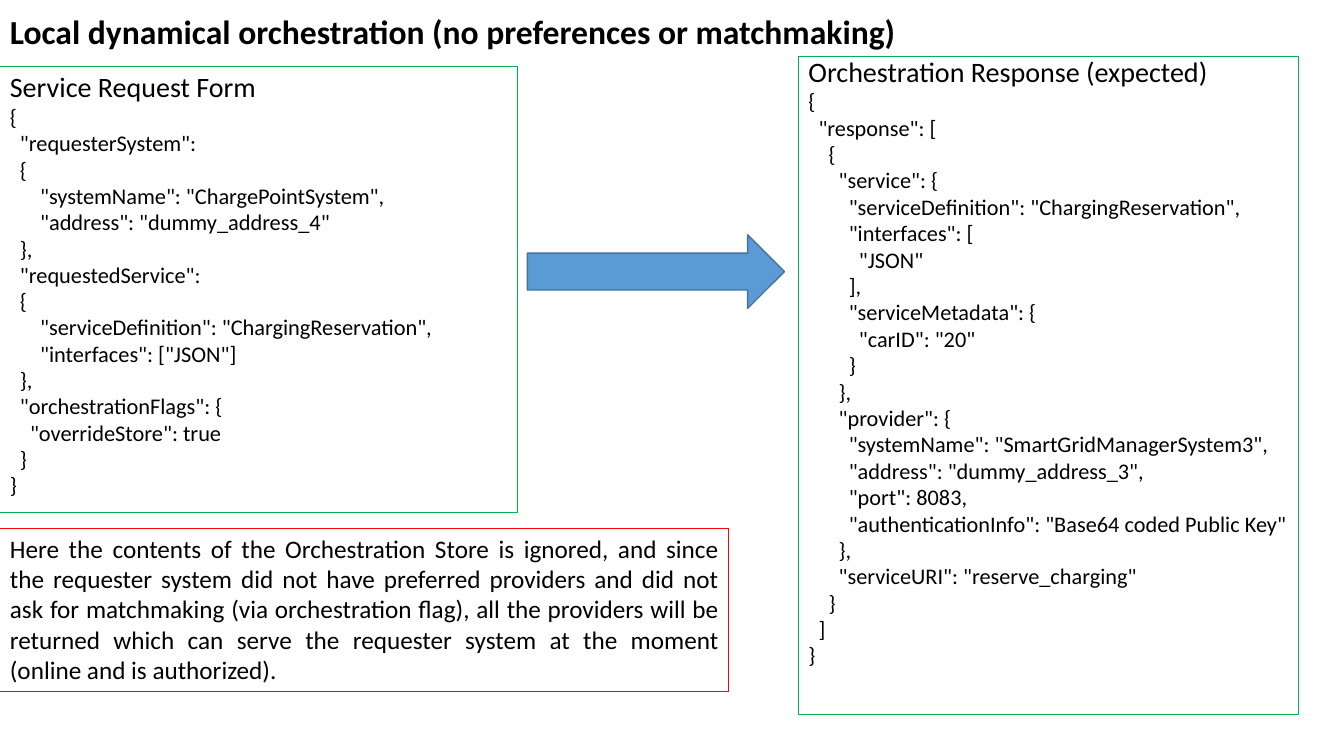
import pptx
import pptx.util
import pptx.dml.color
import pptx.enum.shapes
import pptx.enum.text

Inches, Pt = pptx.util.Inches, pptx.util.Pt
SHAPE = pptx.enum.shapes.MSO_SHAPE
ALIGN = pptx.enum.text.PP_ALIGN
ANCHOR = pptx.enum.text.MSO_ANCHOR

HUES = {"text": "000000", "code": "00B050", "note": "FF0000",
        "arrow": "5B9BD5", "edge": "43739E"}

TITLE = [(0, "Local dynamical orchestration (no preferences or matchmaking)")]
ASK = [
    (0, "Service Request Form"),
    (0, "{"),
    (1, '"requesterSystem":'),
    (1, "{"),
    (3, '"systemName": "ChargePointSystem",'),
    (3, '"address": "dummy_address_4"'),
    (1, "},"),
    (1, '"requestedService":'),
    (1, "{"),
    (3, '"serviceDefinition": "ChargingReservation",'),
    (3, '"interfaces": ["JSON"]'),
    (1, "},"),
    (1, '"orchestrationFlags": {'),
    (2, '"overrideStore": true'),
    (1, "}"),
    (0, "}"),
]
REPLY = [
    (0, "Orchestration Response (expected)"),
    (0, "{"),
    (1, '"response": ['),
    (2, "{"),
    (3, '"service": {'),
    (4, '"serviceDefinition": "ChargingReservation",'),
    (4, '"interfaces": ['),
    (5, '"JSON"'),
    (4, "],"),
    (4, '"serviceMetadata": {'),
    (5, '"carID": "20"'),
    (4, "}"),
    (3, "},"),
    (3, '"provider": {'),
    (4, '"systemName": "SmartGridManagerSystem3",'),
    (4, '"address": "dummy_address_3",'),
    (4, '"port": 8083,'),
    (4, '"authenticationInfo": "Base64 coded Public Key"'),
    (3, "},"),
    (3, '"serviceURI": "reserve_charging"'),
    (2, "}"),
    (1, "]"),
    (0, "}"),
]
NOTE = [(0, "Here the contents of the Orchestration Store is ignored, and since "
            "the requester system did not have preferred providers and did not "
            "ask for matchmaking (via orchestration flag), all the providers will be "
            "returned which can serve the requester system at the moment "
            "(online and is authorized).")]

STEP = 0.1
LEFT = ALIGN.LEFT
BOXES = [
    {"at": (0, 0, 11.5, 0.66), "lines": TITLE, "hue": None, "sizes": (24, 24),
     "bold": True, "frame": {"vertical_anchor": ANCHOR.MIDDLE},
     "para": {"alignment": LEFT, "line_spacing": 0.9}},
    {"at": (0, 0.66, 5.13, 4.43), "lines": ASK, "hue": "code", "sizes": (20, 16),
     "bold": False, "frame": {"vertical_anchor": ANCHOR.TOP},
     "para": {"alignment": LEFT, "line_spacing": 0.98}},
    {"at": (7.92, 0.56, 4.96, 6.53), "lines": REPLY, "hue": "code", "sizes": (20.1, 15.9),
     "bold": False,
     "frame": {"vertical_anchor": ANCHOR.TOP, "margin_top": Inches(0.07),
               "margin_right": Inches(0)},
     "para": {"alignment": LEFT, "line_spacing": 0.7, "space_before": Pt(5.5)}},
    {"at": (0, 5.24, 7.23, 1.62), "lines": NOTE, "hue": "note", "sizes": (18, 18),
     "bold": False, "frame": {"vertical_anchor": ANCHOR.TOP},
     "para": {"alignment": ALIGN.JUSTIFY}},
]
ARROW = (5.23, 2.33, 2.55, 0.73)


def tint(name):
    return pptx.dml.color.RGBColor.from_string(HUES[name])


def apply(item, form):
    for key, value in form.items():
        setattr(item, key, value)


def edge(shape, hue, width):
    shape.line.color.rgb = tint(hue)
    shape.line.width = Pt(width)


def write(slide, box):
    shape = slide.shapes.add_textbox(*map(Inches, box["at"]))
    if box["hue"]:
        edge(shape, box["hue"], 0.75)
    frame = shape.text_frame
    apply(frame, {"word_wrap": True, **box["frame"]})
    head, body = box["sizes"]
    for row, (level, text) in enumerate(box["lines"]):
        para = frame.add_paragraph() if row else frame.paragraphs[0]
        apply(para, box["para"])
        if level:
            para._p.get_or_add_pPr().set("marL", str(Inches(level * STEP)))
        run = para.add_run()
        run.text = text
        apply(run.font, {"name": "Calibri", "bold": box["bold"],
                         "size": Pt(body if row else head)})
        run.font.color.rgb = tint("text")


def main():
    deck = pptx.Presentation()
    apply(deck, {"slide_width": Inches(13.33), "slide_height": Inches(7.5)})
    slide = deck.slides.add_slide(deck.slide_layouts[6])
    for box in BOXES:
        write(slide, box)
    arrow = slide.shapes.add_shape(SHAPE.RIGHT_ARROW, *map(Inches, ARROW))
    arrow.shadow.inherit = False
    arrow.fill.solid()
    arrow.fill.fore_color.rgb = tint("arrow")
    edge(arrow, "edge", 1)
    deck.save("out.pptx")


if __name__ == "__main__":
    main()
